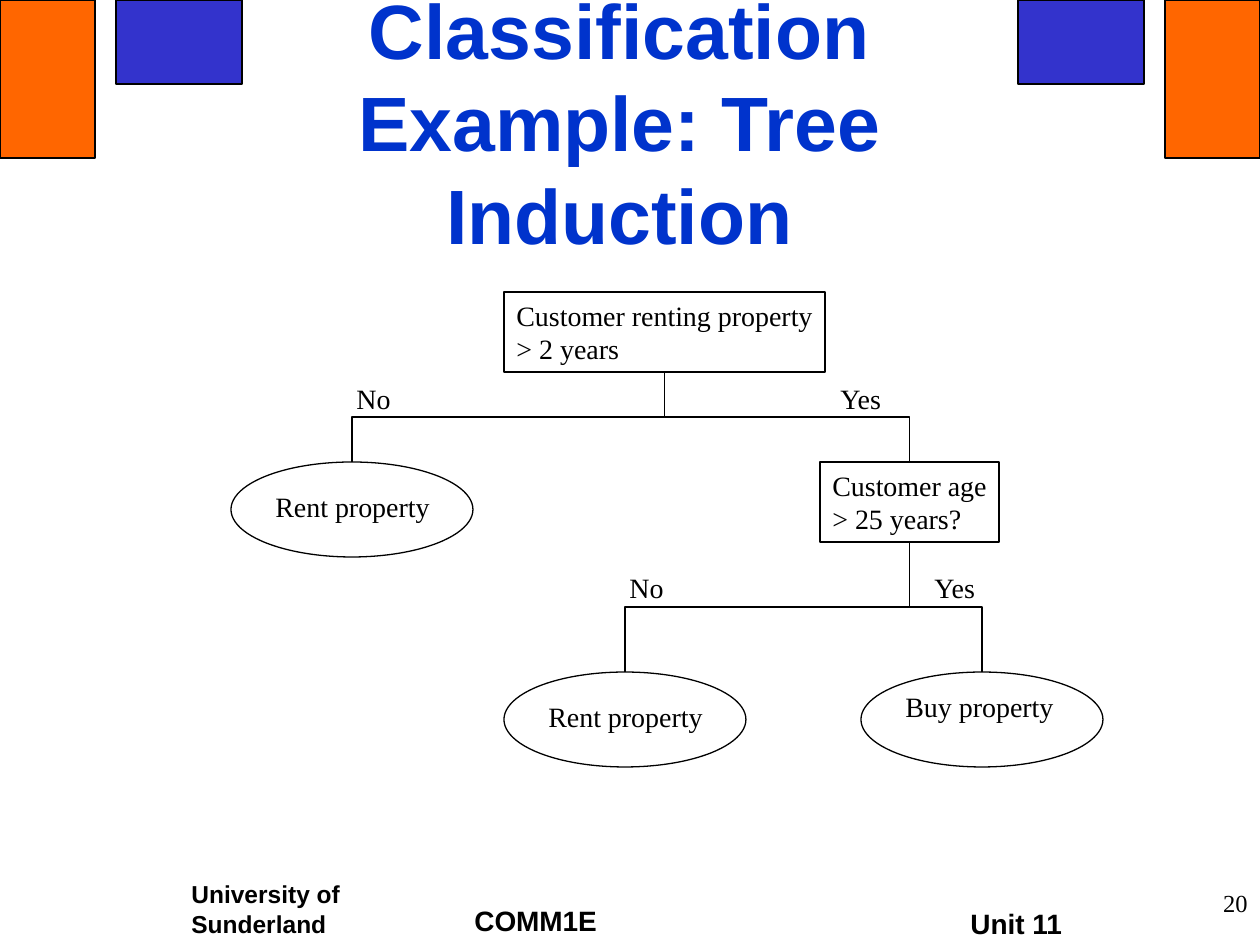
from typing import NamedTuple

from pptx import Presentation
from pptx.dml.color import RGBColor
from pptx.enum.shapes import MSO_CONNECTOR, MSO_SHAPE
from pptx.enum.text import MSO_ANCHOR, MSO_AUTO_SIZE, PP_ALIGN
from pptx.oxml.ns import qn
from pptx.util import Pt
from lxml import etree

RECT, OVAL = MSO_SHAPE.RECTANGLE, MSO_SHAPE.OVAL
ELBOW = MSO_CONNECTOR.ELBOW
TOP, MIDDLE = MSO_ANCHOR.TOP, MSO_ANCHOR.MIDDLE
LEFT, CENTER, RIGHT = PP_ALIGN.LEFT, PP_ALIGN.CENTER, PP_ALIGN.RIGHT
GROW, FIXED = MSO_AUTO_SIZE.SHAPE_TO_FIT_TEXT, MSO_AUTO_SIZE.NONE
SCALE = 914400 / 126
WIDE, HIGH = 1260, 945
SLIM = 8
BLACK, BLUE, ORANGE, INK = "000000", "3333CC", "FF6600", "0033CC"
SANS, SERIF = "Arial", "Times New Roman"


class Box(NamedTuple):
    """A place on the slide in px."""
    x: int
    y: int
    w: int
    h: int


class Label(NamedTuple):
    """A text with its place and its look."""
    box: Box
    text: str
    size: int = 16
    face: str = SERIF
    bold: bool = False
    color: str = BLACK
    align: PP_ALIGN = LEFT
    anchor: MSO_ANCHOR = TOP
    wrap: bool = False
    fit: MSO_AUTO_SIZE = GROW


class Node(NamedTuple):
    """A box of the tree or of the page frame."""
    box: Box
    kind: MSO_SHAPE = OVAL
    fill: str = ""
    line: float = 0.75
    text: str = ""


def emu(px: float) -> int:
    """Turn px into EMU."""
    return round(px * SCALE)


def place(box: Box) -> list[int]:
    """Turn a box into EMU lengths."""
    return [emu(px) for px in box]


def tint(code: str) -> RGBColor:
    """Turn a hex string into a colour."""
    return RGBColor.from_string(code)


def write(shape, label: Label) -> None:
    """Put the text of a label into a shape, with slack at the right of single lines."""
    frame = shape.text_frame
    frame.text = label.text
    frame.word_wrap = label.wrap
    frame.auto_size = label.fit
    frame.vertical_anchor = label.anchor
    if not label.wrap:
        frame.margin_right = emu(SLIM)
    for para in frame.paragraphs:
        para.alignment = label.align
        for run in para.runs:
            font = run.font
            font.name, font.size, font.bold = label.face, Pt(label.size), label.bold
            font.color.rgb = tint(label.color)


def draw_label(slide, label: Label) -> None:
    """Draw a text box."""
    write(slide.shapes.add_textbox(*place(label.box)), label)


def draw_node(slide, node: Node) -> None:
    """Draw an outlined shape with its text."""
    shape = slide.shapes.add_shape(node.kind, *place(node.box))
    shape.shadow.inherit = False
    if node.fill:
        shape.fill.solid()
        shape.fill.fore_color.rgb = tint(node.fill)
    else:
        shape.fill.background()
    shape.line.color.rgb = tint(BLACK)
    shape.line.width = Pt(node.line)
    if node.text:
        write(shape, Label(node.box, node.text))


def draw_link(slide, top: Node, low: Node) -> None:
    """Draw an elbow from the foot of one node to the head of another."""
    x1, y1 = top.box.x + top.box.w / 2, top.box.y + top.box.h
    x2, y2 = low.box.x + low.box.w / 2, low.box.y
    drop, span = y2 - y1, abs(x2 - x1)
    x, y = (x1 + x2 - drop) / 2, (y1 + y2 - span) / 2
    ends = (x, x + drop) if x2 < x1 else (x + drop, x)
    link = slide.shapes.add_connector(
        ELBOW, emu(ends[0]), emu(y), emu(ends[1]), emu(y + span))
    link.line.color.rgb = tint(BLACK)
    link.line.width = Pt(0.75)
    props = link._element.spPr
    turn = 90 if x2 < x1 else 270
    props.find(qn("a:xfrm")).set("rot", str(turn * 60000))
    etree.SubElement(props, qn("a:effectLst"))


BLOCKS = [
    Node(Box(x, 0, w, h), RECT, fill, 1)
    for near, w, h, fill in [(116, 126, 84, BLUE), (0, 95, 158, ORANGE)]
    for x in (near, WIDE - near - w)
]
ROOT = Node(Box(504, 292, 321, 80), RECT, text="Customer renting property\n> 2 years")
AGE = Node(Box(820, 462, 179, 80), RECT, text="Customer age\n> 25 years?")
STAY, RENT, BUY = [
    Node(Box(x, y, 242, 95)) for x, y in [(231, 462), (504, 672), (861, 672)]
]
LINKS = [(ROOT, STAY), (ROOT, AGE), (AGE, RENT), (AGE, BUY)]
LABELS = [
    Label(Box(179, 873, 204, 72), "University of Sunderland", 14, SANS, True, wrap=True),
    Label(Box(462, 897, 147, 47), "COMM1E", 16, SANS, True),
    Label(Box(958, 900, 118, 47), "Unit 11", 16, SANS, True),
    Label(Box(189, 42, 861, 158), "Classification Example: Tree Induction",
          44, SANS, True, INK, CENTER, MIDDLE, True, FIXED),
    Label(Box(263, 483, 179, 47), "Rent property"),
    Label(Box(536, 693, 179, 47), "Rent property"),
    Label(Box(893, 683, 173, 47), "Buy property"),
    Label(Box(344, 375, 59, 47), "No"),
    Label(Box(828, 375, 68, 47), "Yes"),
    Label(Box(617, 564, 59, 47), "No"),
    Label(Box(922, 564, 68, 47), "Yes"),
    Label(Box(1165, 882, 95, 63), "20", 14, align=RIGHT, wrap=True, fit=FIXED),
]


def main() -> None:
    """Build and save the slide."""
    deck = Presentation()
    deck.slide_width, deck.slide_height = emu(WIDE), emu(HIGH)
    slide = deck.slides.add_slide(deck.slide_layouts[6])
    for node in [*BLOCKS, ROOT, STAY, RENT, BUY, AGE]:
        draw_node(slide, node)
    for top, low in LINKS:
        draw_link(slide, top, low)
    for label in LABELS:
        draw_label(slide, label)
    deck.save("out.pptx")


if __name__ == "__main__":
    main()
